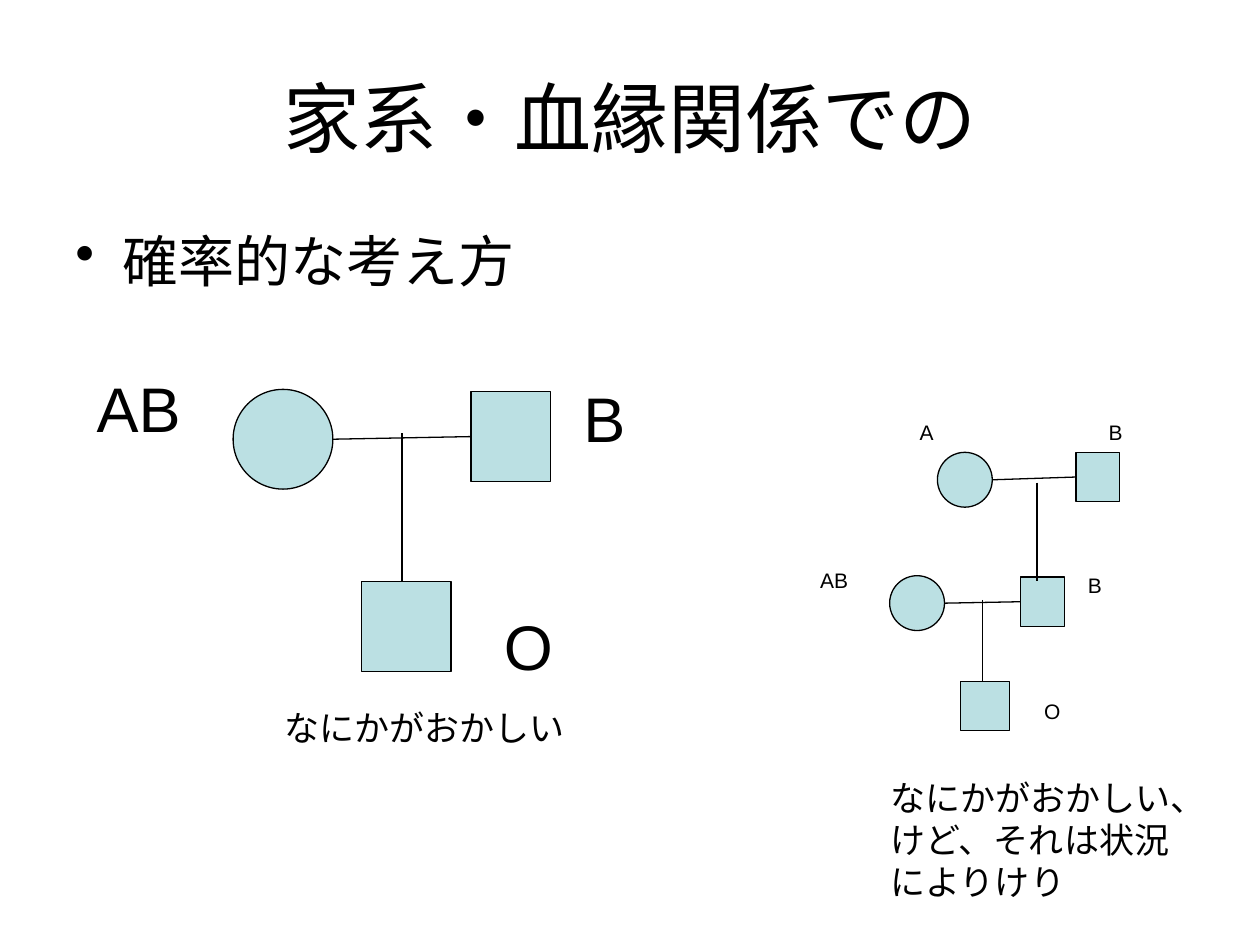
import pptx
import pptx.util
import pptx.dml.color
import pptx.enum.shapes
import pptx.enum.text
import pptx.oxml
import lxml.etree

Pt = pptx.util.Pt
SHAPE = pptx.enum.shapes.MSO_SHAPE
ALIGN = pptx.enum.text.PP_ALIGN
ANCHOR = pptx.enum.text.MSO_ANCHOR
AUTO_SIZE = pptx.enum.text.MSO_AUTO_SIZE
INK = "000000"
PERSON_FILL = "BBE0E3"


def color(hex_string):
    """Turn a hex string into a colour."""
    return pptx.dml.color.RGBColor.from_string(hex_string)


def set_values(target, values):
    """Set each attribute of the target from a dict."""
    for name, value in values.items():
        setattr(target, name, value)


def add_text(shapes, box, text, size, frame=None, **paragraph_values):
    """Add a one-paragraph text box and return its paragraph."""
    text_frame = shapes.add_textbox(*map(Pt, box)).text_frame
    set_values(text_frame, {"word_wrap": True, **(frame or {})})
    paragraph = text_frame.paragraphs[0]
    set_values(paragraph, paragraph_values)
    run = paragraph.add_run()
    run.text = text
    set_values(run.font, {"name": "Arial", "size": Pt(size)})
    run.font.color.rgb = color(INK)
    return paragraph


def add_label(shapes, box, text, size):
    """Add a label that grows with its text."""
    add_text(shapes, box, text, size, {"auto_size": AUTO_SIZE.SHAPE_TO_FIT_TEXT},
             space_before=Pt(size * 0.625))


def add_person(shapes, kind, box):
    """Add one member of a pedigree."""
    person = shapes.add_shape(kind, *map(Pt, box))
    person.shadow.inherit = False
    person.fill.solid()
    person.fill.fore_color.rgb = color(PERSON_FILL)
    person.line.color.rgb = color(INK)
    person.line.width = Pt(0.75)
    return person


def add_line(shapes, start, end):
    """Add a thin straight line between two points."""
    line = shapes.add_connector(pptx.enum.shapes.MSO_CONNECTOR.STRAIGHT, *map(Pt, start + end))
    line.line.color.rgb = color(INK)
    line.line.width = Pt(0.75)
    properties = line._element.spPr
    lxml.etree.SubElement(properties, pptx.oxml.ns.qn("a:effectLst"))
    return line


def add_couple(shapes, left, top, scale, father_offset, drop):
    """Add a mother, a father, the line joining them and the line of descent."""
    diameter = 57 * scale
    father_left, father_top = father_offset
    drop_left, drop_top, drop_bottom = drop
    add_person(shapes, SHAPE.OVAL, (left, top, diameter, diameter))
    father = add_person(shapes, SHAPE.RECTANGLE,
                        (left + father_left, top + father_top, 45.4 * scale, 51.2 * scale))
    middle = top + diameter / 2
    marriage = add_line(shapes, (left + diameter, middle), (left + father_left, middle))
    marriage.end_connect(father, 1)
    add_line(shapes, (left + drop_left, top + drop_top), (left + drop_left, top + drop_bottom))


def add_family(shapes, left, top, scale, label_size):
    """Add an AB mother, a B father and their O child, scaled from the mother's corner."""
    add_couple(shapes, left, top, scale, (136 * scale, 1.4 * scale),
               (96.5 * scale, 25 * scale, 110 * scale))
    side = 51.2 * scale
    add_person(shapes, SHAPE.RECTANGLE, (left + 73.4 * scale, top + 110 * scale, side, side))
    for text, x, y in (("O", 147.6, 121), ("B", 193, -9.4), ("AB", -85, -15)):
        add_label(shapes, (left + x * scale, top + y * scale, 73.4 * scale, label_size * 1.4),
                  text, label_size)


def add_grandparents(shapes, left, top, scale, label_size):
    """Add the A grandmother and B grandfather above the small family."""
    add_couple(shapes, left, top, scale, (79.2, 0), (56.9, 17.3, 73.4))
    for text, x in (("B", 90.7), ("A", -17.3)):
        add_label(shapes, (left + x, top - 22.3, 73.4 * scale, label_size * 1.4),
                  text, label_size)


def add_title(shapes, box):
    """Add the centred slide title."""
    add_text(shapes, box, "家系・血縁関係での", 44,
             {"vertical_anchor": ANCHOR.MIDDLE}, alignment=ALIGN.CENTER)


def add_body(shapes, box):
    """Add the bulleted line."""
    paragraph = add_text(shapes, box, "確率的な考え方", 32, space_before=Pt(8))
    properties = paragraph._p.get_or_add_pPr()
    properties.set("marL", str(Pt(27)))
    properties.set("indent", str(Pt(-27)))
    bullet = lxml.etree.SubElement(properties, pptx.oxml.ns.qn("a:buChar"))
    bullet.set("char", "•")


def main():
    """Build and save the slide."""
    presentation = pptx.Presentation()
    set_values(presentation, {"slide_width": Pt(720), "slide_height": Pt(540)})
    slide = presentation.slides.add_slide(presentation.slide_layouts[6])
    shapes = slide.shapes
    add_title(shapes, (36, 21.6, 648, 90))
    add_body(shapes, (36, 126, 648, 356.4))
    add_family(shapes.add_group_shape().shapes, 133.2, 222.5, 1, 36)
    add_label(shapes, (155.5, 400.3, 175.7, 31.7), "なにかがおかしい", 20)
    small_pedigree = shapes.add_group_shape().shapes
    add_family(small_pedigree, 508.4, 329, 0.55, 12)
    add_grandparents(small_pedigree, 535.7, 258.5, 0.55, 12)
    add_label(shapes, (501.8, 440, 175.7, 79.2),
              "なにかがおかしい、けど、それは状況によりけり", 20)
    presentation.save("out.pptx")


if __name__ == "__main__":
    main()
